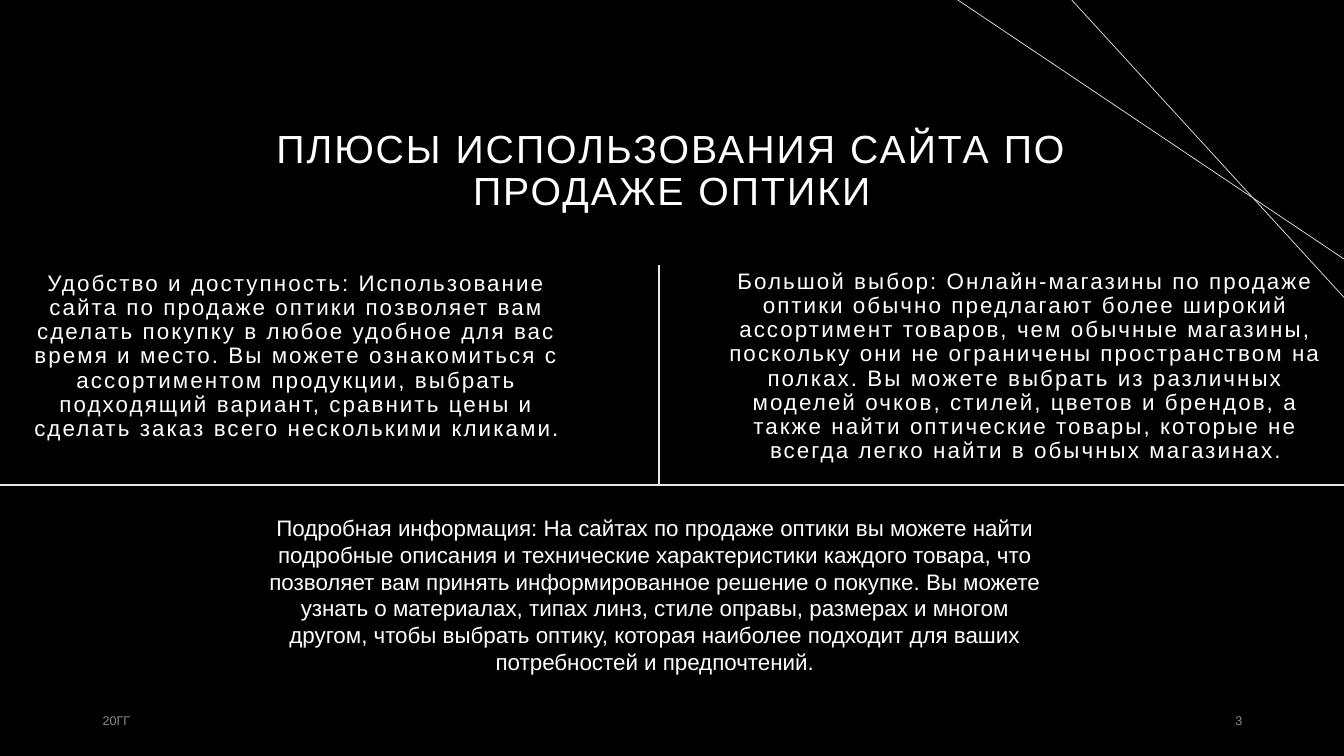
from lxml import etree
from pptx import Presentation
from pptx.dml.color import RGBColor
from pptx.enum.shapes import MSO_CONNECTOR
from pptx.enum.text import MSO_ANCHOR, MSO_AUTO_SIZE, PP_ALIGN
from pptx.oxml.ns import qn
from pptx.util import Emu, Pt

STRAIGHT = MSO_CONNECTOR.STRAIGHT
TOP, MIDDLE = MSO_ANCHOR.TOP, MSO_ANCHOR.MIDDLE
LEFT, CENTER, RIGHT = PP_ALIGN.LEFT, PP_ALIGN.CENTER, PP_ALIGN.RIGHT
NO_FIT = MSO_AUTO_SIZE.NONE
SCALE = 9144
WIDE, HIGH = 1333, 750
BLACK, WHITE, GREY, CREAM = "000000", "FFFFFF", "8C8C8C", "E9E6DF"

TITLE = "ПЛЮСЫ ИСПОЛЬЗОВАНИЯ САЙТА ПО ПРОДАЖЕ ОПТИКИ"
EASE = (
    "Удобство и доступность: Использование сайта по продаже оптики позволяет вам "
    "сделать покупку в любое удобное для вас время и место. Вы можете ознакомиться "
    "с ассортиментом продукции, выбрать подходящий вариант, сравнить цены и сделать "
    "заказ всего несколькими кликами."
)
CHOICE = (
    "Большой выбор: Онлайн-магазины по продаже оптики обычно предлагают более "
    "широкий ассортимент товаров, чем обычные магазины, поскольку они не ограничены "
    "пространством на полках. Вы можете выбрать из различных моделей очков, стилей, "
    "цветов и брендов, а также найти оптические товары, которые не всегда легко "
    "найти в обычных магазинах."
)
DETAIL = (
    "Подробная информация: На сайтах по продаже оптики вы можете найти подробные "
    "описания и технические характеристики каждого товара, что позволяет вам принять "
    "информированное решение о покупке. Вы можете узнать о материалах, типах линз, "
    "стиле оправы, размерах и многом другом, чтобы выбрать оптику, которая наиболее "
    "подходит для ваших потребностей и предпочтений."
)


def px(size):
    """Turn px into EMU."""
    return Emu(size * SCALE)


def color(code):
    """Turn a hex string into a colour."""
    return RGBColor.from_string(code)


def put_text(shape, box, text, size, code=WHITE, align=CENTER, anchor=TOP,
             lead=1.0, before=0, track=0):
    """Place a text shape in its box and format its one paragraph."""
    shape.left, shape.top, shape.width, shape.height = map(px, box)
    frame = shape.text_frame
    frame.text = text
    frame.word_wrap = True
    frame.auto_size = NO_FIT
    frame.vertical_anchor = anchor
    para = frame.paragraphs[0]
    para.alignment = align
    para.line_spacing = lead
    para.space_before = Pt(before)
    run = para.runs[0]
    run.font.name = "Arial"
    run.font.size = Pt(size)
    run.font.color.rgb = color(code)
    if track:
        run._r.get_or_add_rPr().set("spc", str(track))


def add_text(slide, box, text, size, **style):
    """Add a text box."""
    put_text(slide.shapes.add_textbox(*map(px, box)), box, text, size, **style)


def add_line(slide, start, end, width):
    """Add a plain cream line."""
    line = slide.shapes.add_connector(STRAIGHT, *map(px, start + end))
    line.line.color.rgb = color(CREAM)
    line.line.width = Pt(width)
    etree.SubElement(line._element.spPr, qn("a:effectLst"))


def add_rays(slide, box):
    """Draw the two crossing lines in the top right corner."""
    left, top, width, height = box
    right = left + width
    add_line(slide, (left, top), (right, top + 257), 0.5)
    add_line(slide, (left + 113, top), (right, top + height), 0.5)


def add_points(slide, box):
    """Set two points side by side and one below, split by rules."""
    left, top, width, height = box
    split, base = left + 654, top + 218
    style = {"before": 10}
    add_text(slide, (left + 257, base + 24, 785, height - 242), DETAIL, 16, **style)
    style.update(lead=0.9, track=150)
    add_text(slide, (left + 702, top, width - 702, 219), CHOICE, 16, **style)
    add_text(slide, (left, top + 2, 589, 191), EASE, 16, **style)
    add_line(slide, (split, top), (split, base), 1.5)
    add_line(slide, (left, base), (left + width, base), 1.5)


def add_foot(slide, box):
    """Set the date at the left and the slide number at the right."""
    left, top, width, height = box
    part = 300
    for start, text, align in ((left, "20ГГ", LEFT),
                               (left + width - part, "3", RIGHT)):
        add_text(slide, (start, top, part, height), text, 9, code=GREY,
                 align=align, anchor=MIDDLE)


def main():
    """Build and save the slide."""
    deck = Presentation()
    deck.slide_width, deck.slide_height = px(WIDE), px(HIGH)
    slide = deck.slides.add_slide(deck.slide_layouts[5])
    fill = slide.background.fill
    fill.solid()
    fill.fore_color.rgb = color(BLACK)
    add_rays(slide, (950, 0, WIDE - 950, 295))
    put_text(slide.shapes.title, (206, 98, 921, 145), TITLE, 28,
             anchor=MIDDLE, lead=0.9, track=150)
    add_points(slide, (0, 263, WIDE, 433))
    add_foot(slide, (92, 695, 1150, 40))
    deck.save("out.pptx")


if __name__ == "__main__":
    main()
